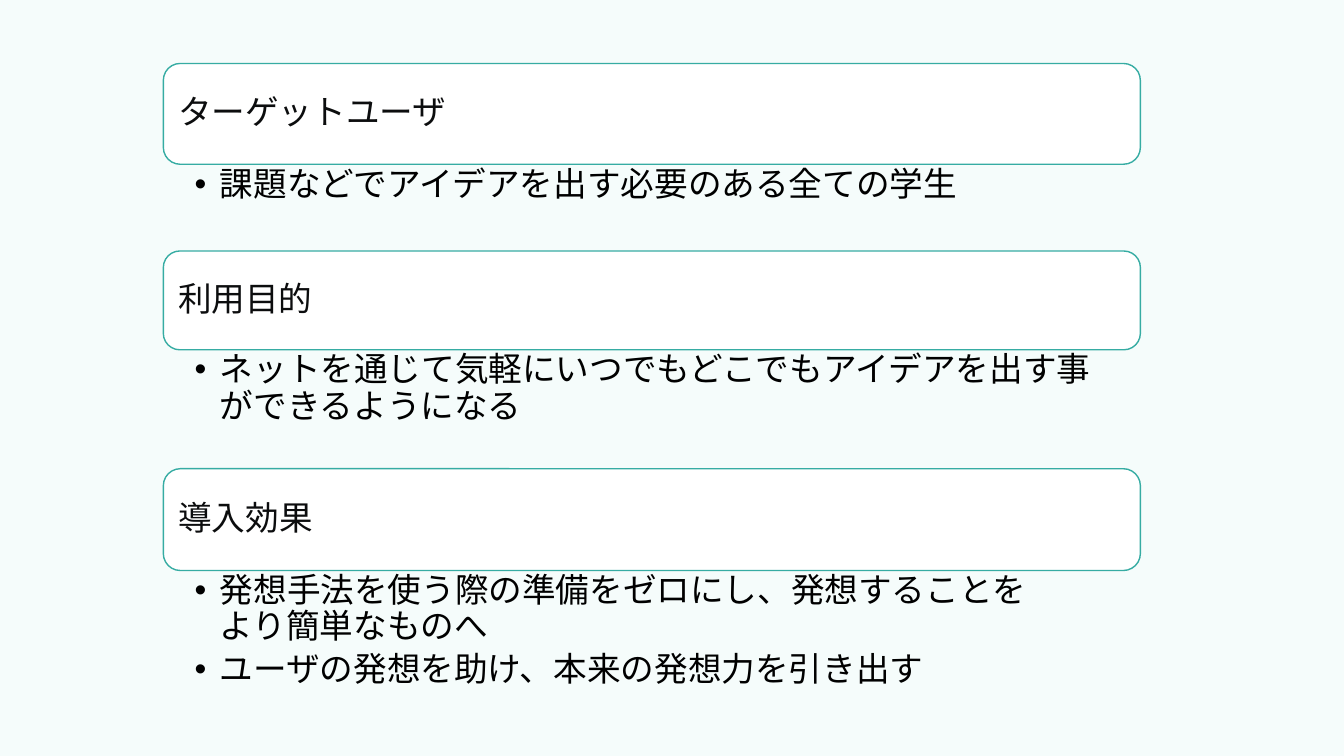
from lxml.etree import SubElement
from pptx import Presentation
from pptx.dml.color import RGBColor
from pptx.enum.lang import MSO_LANGUAGE_ID
from pptx.enum.shapes import MSO_SHAPE
from pptx.enum.text import MSO_ANCHOR, MSO_AUTO_SIZE, PP_ALIGN
from pptx.oxml.ns import qn
from pptx.util import Inches, Pt

JAPANESE_FONT = "Noto Sans CJK JP"
SLIDE_WIDTH, SLIDE_HEIGHT = 13.33, 7.5
SECTION_LEFT, SECTION_WIDTH = 1.62, 9.69
FIRST_TOP = 0.63
SECTIONS = [
    ("ターゲットユーザ", 1.0, 0.86, 1,
     ["課題などでアイデアを出す必要のある全ての学生"]),
    ("利用目的", 0.98, 1.18, 2,
     ["ネットを通じて気軽にいつでもどこでもアイデアを出す事ができるようになる"]),
    ("導入効果", 1.01, 1.32, 4,
     ["発想手法を使う際の準備をゼロにし、発想することを\vより簡単なものへ",
      "ユーザの発想を助け、本来の発想力を引き出す"]),
]


def paint(color_format, hex_color):
    color_format.rgb = RGBColor.from_string(hex_color)


def fill_solid(fill, hex_color):
    fill.solid()
    paint(fill.fore_color, hex_color)


def set_margins(frame, left, top, right, bottom):
    frame.margin_left, frame.margin_top = Inches(left), Inches(top)
    frame.margin_right, frame.margin_bottom = Inches(right), Inches(bottom)
    frame.word_wrap = True


def format_paragraph(paragraph, latin_font, hex_color, space_after):
    paragraph.alignment = PP_ALIGN.LEFT
    paragraph.line_spacing = 0.9
    paragraph.space_before = Pt(0)
    paragraph.space_after = Pt(space_after)
    for run in paragraph.runs:
        run.font.size = Pt(24)
        run.font.bold = False
        run.font.name = latin_font
        run.font.language_id = MSO_LANGUAGE_ID.JAPANESE
        paint(run.font.color, hex_color)
        SubElement(run.font._element, qn("a:ea"), typeface=JAPANESE_FONT)


def add_bullet(paragraph):
    paragraph.level = 1
    properties = paragraph._p.get_or_add_pPr()
    properties.set("marL", str(Inches(0.25)))
    properties.set("indent", str(-Inches(0.25)))
    SubElement(properties, qn("a:buFont"), typeface="Arial")
    SubElement(properties, qn("a:buChar"), char="•")


def add_heading(slide, heading, left, top, width, height):
    card = slide.shapes.add_shape(
        MSO_SHAPE.ROUNDED_RECTANGLE,
        Inches(left), Inches(top), Inches(width), Inches(height))
    card.shadow.inherit = False
    fill_solid(card.fill, "FFFFFF")
    paint(card.line.color, "36ACA3")
    card.line.width = Pt(1)
    frame = card.text_frame
    set_margins(frame, 0.1, 0.1, 0.1, 0.1)
    frame.vertical_anchor = MSO_ANCHOR.MIDDLE
    frame.text = heading
    format_paragraph(frame.paragraphs[0], JAPANESE_FONT, "0C0D0E", 8.4)


def fill_list(body, points, left, top, width, height):
    body.left, body.top = Inches(left), Inches(top)
    body.width, body.height = Inches(width), Inches(height)
    frame = body.text_frame
    set_margins(frame, 0.31, 0.03, 0.19, 0.03)
    frame.auto_size = MSO_AUTO_SIZE.NONE
    frame.vertical_anchor = MSO_ANCHOR.TOP
    for index, point in enumerate(points):
        paragraph = frame.add_paragraph() if index else frame.paragraphs[0]
        paragraph.text = point
        format_paragraph(paragraph, "Montserrat", "000000", 4.8)
        add_bullet(paragraph)


def build_overview(presentation):
    slide = presentation.slides.add_slide(
        presentation.slide_layouts.get_by_name("Comparison"))
    fill_solid(slide.background.fill, "F5FCFB")
    bodies = {body.placeholder_format.idx: body for body in slide.placeholders}
    top = FIRST_TOP
    for heading, heading_height, list_height, body_index, points in SECTIONS:
        add_heading(slide, heading, SECTION_LEFT, top, SECTION_WIDTH, heading_height)
        top += heading_height
        fill_list(bodies.pop(body_index), points,
                  SECTION_LEFT, top, SECTION_WIDTH, list_height)
        top += list_height
    for unused in bodies.values():
        unused.element.getparent().remove(unused.element)


def main():
    presentation = Presentation()
    presentation.slide_width = Inches(SLIDE_WIDTH)
    presentation.slide_height = Inches(SLIDE_HEIGHT)
    build_overview(presentation)
    presentation.save("out.pptx")


if __name__ == "__main__":
    main()
